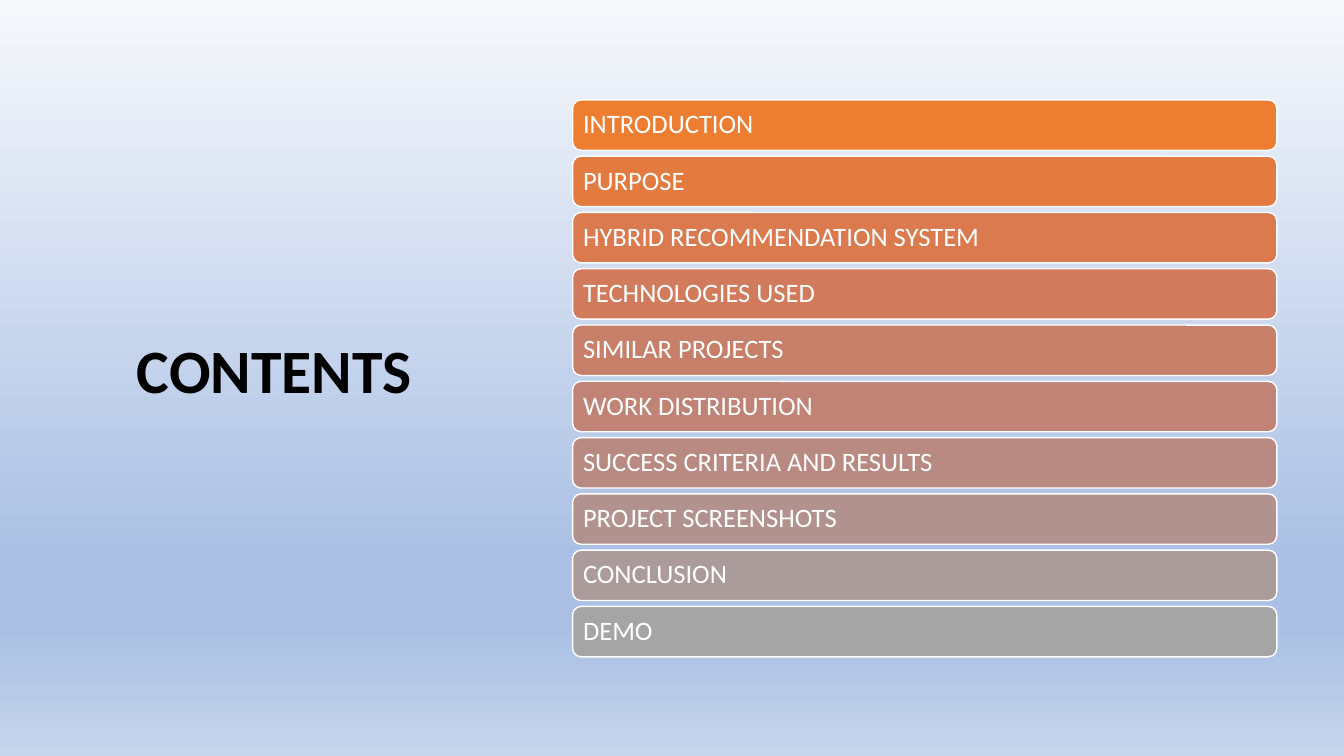
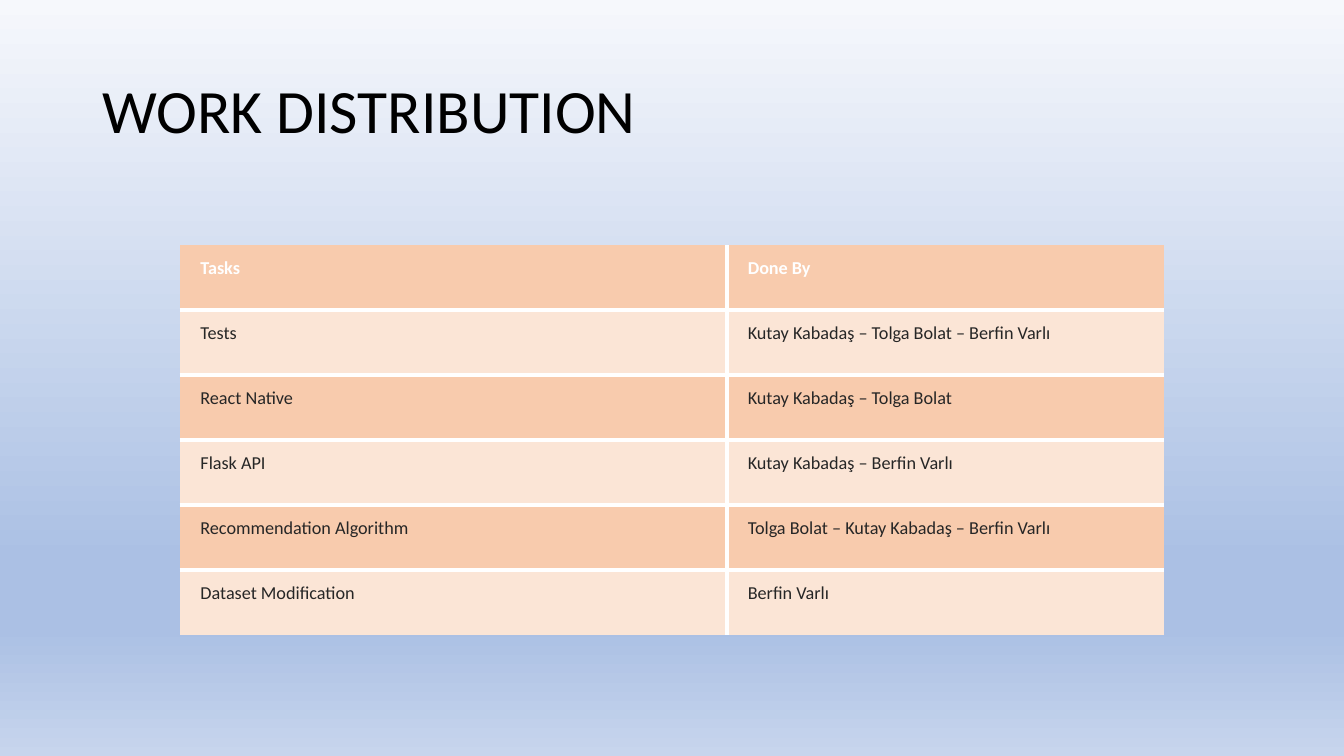
"""Build the contents and work distribution slides of a project presentation."""
import copy

import pptx
import pptx.dml.color
import pptx.enum.shapes
import pptx.enum.text
import pptx.oxml.ns
import pptx.oxml.xmlchemy
import pptx.util
from lxml import etree

Pt = pptx.util.Pt
RGBColor = pptx.dml.color.RGBColor
MIDDLE = pptx.enum.text.MSO_ANCHOR.MIDDLE
LEFT = pptx.enum.text.PP_ALIGN.LEFT
qn = pptx.oxml.ns.qn

FONT = "Calibri"
BLACK = RGBColor(0x00, 0x00, 0x00)
WHITE = RGBColor(0xFF, 0xFF, 0xFF)
BODY = RGBColor(0x26, 0x26, 0x26)
PEACH = RGBColor(0xF8, 0xCB, 0xAD)
PALE_PEACH = RGBColor(0xFB, 0xE5, 0xD6)
SKY = [
    (0, RGBColor(0xF6, 0xF8, 0xFC)),
    (0.74, RGBColor(0xAB, 0xC0, 0xE4)),
    (0.83, RGBColor(0xAB, 0xC0, 0xE4)),
    (1, RGBColor(0xC7, 0xD5, 0xED)),
]
CONTENTS = [
    ("INTRODUCTION", RGBColor(0xED, 0x7D, 0x31)),
    ("PURPOSE", RGBColor(0xE3, 0x7A, 0x40)),
    ("HYBRID RECOMMENDATION SYSTEM", RGBColor(0xDA, 0x7A, 0x4E)),
    ("TECHNOLOGIES USED", RGBColor(0xD1, 0x7B, 0x5C)),
    ("SIMILAR PROJECTS", RGBColor(0xC8, 0x7F, 0x69)),
    ("WORK DISTRIBUTION", RGBColor(0xC0, 0x83, 0x76)),
    ("SUCCESS CRITERIA AND RESULTS", RGBColor(0xB9, 0x8A, 0x82)),
    ("PROJECT SCREENSHOTS", RGBColor(0xB2, 0x92, 0x8E)),
    ("CONCLUSION", RGBColor(0xAB, 0x9B, 0x9A)),
    ("DEMO", RGBColor(0xA5, 0xA5, 0xA5)),
]
WORK = [
    ("Tasks", "Done By"),
    ("Tests", "Kutay Kabadaş – Tolga Bolat – Berfin Varlı"),
    ("React Native", "Kutay Kabadaş – Tolga Bolat"),
    ("Flask API", "Kutay Kabadaş – Berfin Varlı"),
    ("Recommendation Algorithm", "Tolga Bolat – Kutay Kabadaş – Berfin Varlı"),
    ("Dataset Modification", "Berfin Varlı"),
]


def write(frame, text, size, color, bold=False, spacing=0.9):
    """Put one left-aligned run into the first paragraph of a text frame."""
    frame.word_wrap = True
    paragraph = frame.paragraphs[0]
    paragraph.alignment = LEFT
    paragraph.line_spacing = spacing
    run = paragraph.add_run()
    run.text = text
    run.font.name = FONT
    run.font.size = Pt(size)
    run.font.bold = bold
    run.font.color.rgb = color


def add_title(slide, text, left, top, width, height, bold=False):
    """Add a slide title centred vertically in its box."""
    title = slide.shapes.add_textbox(Pt(left), Pt(top), Pt(width), Pt(height))
    title.text_frame.vertical_anchor = MIDDLE
    write(title.text_frame, text, 44, BLACK, bold)


prs = pptx.Presentation()
prs.slide_width = Pt(960)
prs.slide_height = Pt(540)
blank = prs.slide_layouts[6]

sky = prs.slide_master.background.fill
sky.gradient()
sky.gradient_angle = 270
stop_list = next(prs.slide_master.element.iter(qn("a:gsLst")))
while len(stop_list) < len(SKY):
    stop_list.append(copy.deepcopy(stop_list[-1]))
for stop, (position, color) in zip(sky.gradient_stops, SKY):
    stop.position = position
    stop.color.rgb = color

contents = prs.slides.add_slide(blank)
add_title(contents, "CONTENTS", 90.7, 76.3, 231.8, 381, bold=True)
for index, (topic, color) in enumerate(CONTENTS):
    bar = contents.shapes.add_shape(
        pptx.enum.shapes.MSO_SHAPE.ROUNDED_RECTANGLE,
        Pt(409), Pt(71.4 + 40.2 * index), Pt(503), Pt(36))
    bar.shadow.inherit = False
    bar.fill.solid()
    bar.fill.fore_color.rgb = color
    bar.line.color.rgb = WHITE
    bar.line.width = Pt(1)
    frame = bar.text_frame
    frame.vertical_anchor = MIDDLE
    frame.margin_left = frame.margin_right = Pt(5.7)
    frame.margin_top = frame.margin_bottom = Pt(0)
    write(frame, topic, 19, WHITE)

distribution = prs.slides.add_slide(blank)
add_title(distribution, "WORK DISTRIBUTION", 66, 28.8, 828, 104.4)
column_widths = [391, 312]
row_height = 46.45
work = distribution.shapes.add_table(
    len(WORK), len(column_widths), Pt(128.3), Pt(175),
    Pt(sum(column_widths)), Pt(row_height * len(WORK))).table
work.first_row = work.horz_banding = False
for column, width in zip(work.columns, column_widths):
    column.width = Pt(width)
for r, entries in enumerate(WORK):
    work.rows[r].height = Pt(row_height)
    for c, entry in enumerate(entries):
        cell = work.cell(r, c)
        cell.margin_left = Pt(14.9)
        cell.margin_right = cell.margin_top = cell.margin_bottom = Pt(8.6)
        inner_edges = {
            "a:lnL": c > 0,
            "a:lnR": c < len(entries) - 1,
            "a:lnT": r > 0,
            "a:lnB": r < len(WORK) - 1,
        }
        for edge, inner in inner_edges.items():
            border = etree.SubElement(
                cell._tc.get_or_add_tcPr(), qn(edge), w=str(Pt(3)))
            if inner:
                paint = etree.SubElement(border, qn("a:solidFill"))
                etree.SubElement(paint, qn("a:srgbClr"), val=str(WHITE))
            else:
                etree.SubElement(border, qn("a:noFill"))
        cell.fill.solid()
        cell.fill.fore_color.rgb = PALE_PEACH if r % 2 else PEACH
        write(cell.text_frame, entry, 13, BODY if r else WHITE,
              bold=r == 0, spacing=1.0)

prs.save("out.pptx")
